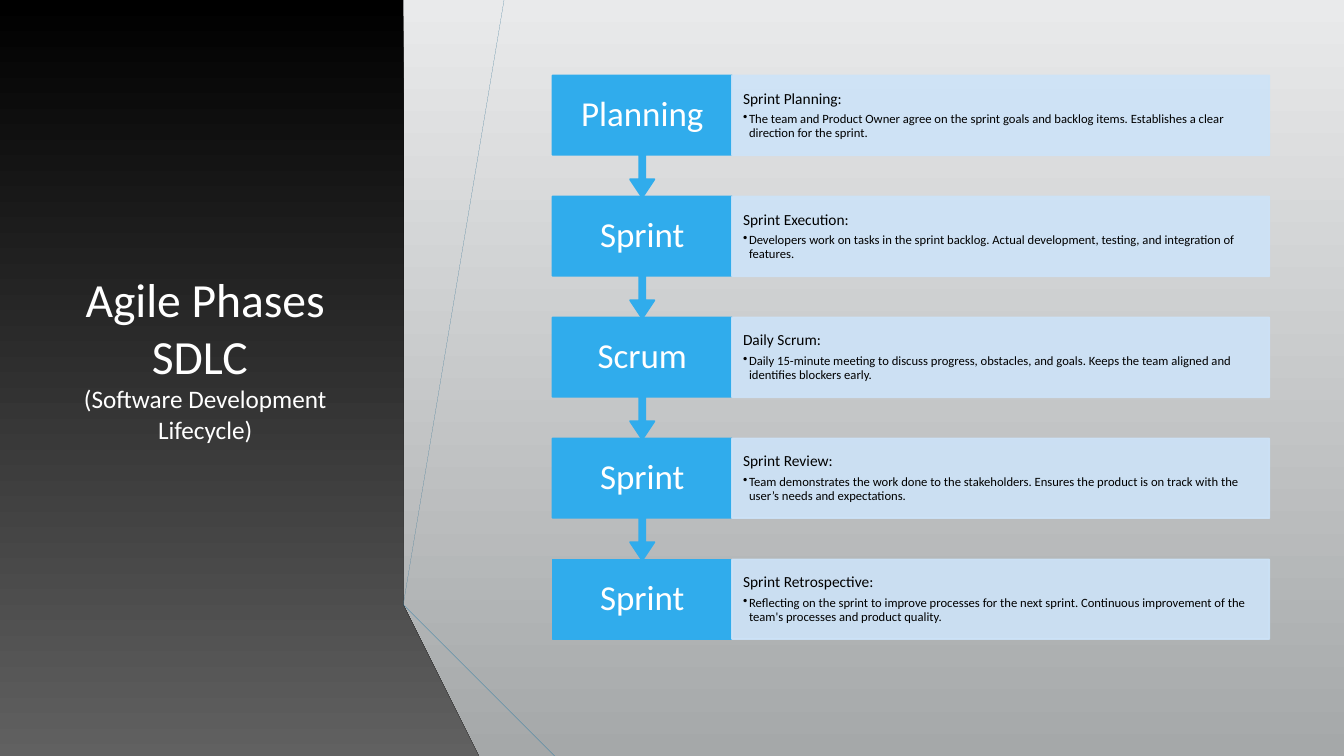
from lxml.etree import SubElement
from pptx import Presentation
from pptx.dml.color import RGBColor
from pptx.enum.shapes import MSO_SHAPE as Shape
from pptx.enum.text import MSO_ANCHOR as Anchor, PP_ALIGN as Align
from pptx.oxml.ns import qn
from pptx.util import Inches, Pt

BLUE = RGBColor(0x30, 0xAC, 0xEC)
DEEP = RGBColor(0x12, 0x87, 0xC3)
NAVY = RGBColor(0x0C, 0x5A, 0x82)
PALE = RGBColor(0xCD, 0xE3, 0xF8)
GRAY = RGBColor(0x59, 0x59, 0x59)
DARK = RGBColor(0x40, 0x40, 0x40)
SHADE = RGBColor(0x26, 0x26, 0x26)
SMOKE = RGBColor(0x67, 0x67, 0x67)
LIGHT = RGBColor(0xE9, 0xEA, 0xEB)
STEEL = RGBColor(0xA5, 0xA8, 0xA9)
WHITE = RGBColor(0xFF, 0xFF, 0xFF)
BLACK = RGBColor(0, 0, 0)

WIDE, HIGH = 13.33, 7.5
TOP, STEP, BOX = 0.75, 1.2, 0.79
LEFT, LABEL, PANEL = 5.48, 1.78, 5.33

EDGE = [(0, 0), (4.49, 0), (3.56, 5.76), (4.82, HIGH), (0, HIGH)]
RIBBON = [
    (BLUE, [(3.96, 5.78), (4.23, 5.83), (5.19, 0), (4.91, 0)]),
    (GRAY, [(4.85, 0), (4.57, 0), (3.63, 5.73), (3.9, 5.77)]),
    (SHADE, [(3.63, 5.73), (4.91, HIGH), (4.97, HIGH)]),
    (NAVY, [(3.96, 5.79), (5.54, HIGH), (5.6, HIGH)]),
    (DEEP, [(3.96, 5.78), (5.6, HIGH), (6.29, HIGH), (4.23, 5.83)]),
    (DARK, [(5.48, HIGH), (3.95, 5.83), (3.9, 5.77), (3.63, 5.73), (4.97, HIGH)]),
]
TITLE = [("Agile Phases", 34), ("SDLC ", 34), ("(Software Development Lifecycle)", 18)]
PHASES = [
    ("Planning", "Sprint Planning:",
     "The team and Product Owner agree on the sprint goals and backlog items. "
     "Establishes a clear direction for the sprint."),
    ("Sprint", "Sprint Execution:",
     "Developers work on tasks in the sprint backlog. "
     "Actual development, testing, and integration of features."),
    ("Scrum", "Daily Scrum:",
     "Daily 15-minute meeting to discuss progress, obstacles, and goals. "
     "Keeps the team aligned and identifies blockers early."),
    ("Sprint", "Sprint Review:",
     "Team demonstrates the work done to the stakeholders. "
     "Ensures the product is on track with the user’s needs and expectations."),
    ("Sprint", "Sprint Retrospective:",
     "Reflecting on the sprint to improve processes for the next sprint. "
     "Continuous improvement of the team's processes and product quality."),
]


def assign(item, values):
    for name, value in values.items():
        setattr(item, name, value)


def blend(fill, first, last):
    """Fill with a gradient that runs from top to bottom."""
    fill.gradient()
    fill.gradient_angle = 270
    for stop, color in zip(fill.gradient_stops, (first, last)):
        stop.color.rgb = color


class Deck:
    font = "Calibri"

    def __init__(self):
        self.file = Presentation()
        assign(self.file, {"slide_width": Inches(WIDE), "slide_height": Inches(HIGH)})
        self.slide = self.file.slides.add_slide(self.file.slide_layouts[6])
        self.shapes = self.slide.shapes

    def outline(self, points):
        pen = self.shapes.build_freeform(*points[0], scale=Inches(1))
        pen.add_line_segments(points[1:], close=True)
        shape = pen.convert_to_shape()
        shape.shadow.inherit = False
        shape.line.fill.background()
        return shape

    def block(self, kind, place, color, alpha=None):
        shape = self.shapes.add_shape(kind, *map(Inches, place))
        shape.shadow.inherit = False
        shape.line.width = Pt(1.25)
        for fill in (shape.fill, shape.line.fill):
            fill.solid()
            fill.fore_color.rgb = color
        if alpha:
            for tint in list(shape.element.spPr.iter(qn("a:srgbClr"))):
                SubElement(tint, qn("a:alpha")).set("val", str(alpha * 1000))
        return shape

    def frame(self, shape, anchor, side=0.1, edge=0.05):
        text = shape.text_frame
        assign(text, {
            "word_wrap": True, "vertical_anchor": anchor,
            "margin_left": Inches(side), "margin_right": Inches(side),
            "margin_top": Inches(edge), "margin_bottom": Inches(edge),
        })
        return text

    def letter(self, para, lines, color, align=Align.LEFT, spacing=0.9, after=0):
        """Put (words, size) lines into one paragraph."""
        assign(para, {"alignment": align, "line_spacing": spacing, "space_after": Pt(after)})
        for index, (words, size) in enumerate(lines):
            if index:
                para.add_line_break()
            run = para.add_run()
            run.text = words
            assign(run.font, {"name": self.font, "size": Pt(size)})
            run.font.color.rgb = color

    def bullet(self, para):
        para.level = 1
        props = para._p.get_or_add_pPr()
        props.set("marL", str(Inches(0.06)))
        props.set("indent", str(Inches(-0.06)))
        SubElement(props, qn("a:buChar")).set("char", "•")

    def title(self, place, lines):
        box = self.shapes.add_textbox(*map(Inches, place))
        text = self.frame(box, Anchor.MIDDLE)
        self.letter(text.paragraphs[0], lines, WHITE, Align.CENTER, 1.0)

    def phase(self, top, label, head, body, last):
        """Draw one step; all but the last point down to the next."""
        kind = Shape.RECTANGLE if last else Shape.DOWN_ARROW_CALLOUT
        box = self.block(kind, (LEFT, top, LABEL, BOX if last else 1.21), BLUE)
        if not last:
            for index, value in enumerate((0.05, 0.1, 0.15, 0.65)):
                box.adjustments[index] = value
        text = self.frame(box, Anchor.MIDDLE, 0.13, 0.19)
        self.letter(text.paragraphs[0], [(label, 25)], WHITE, Align.CENTER)

        panel = self.block(Shape.RECTANGLE, (LEFT + LABEL, top, PANEL, BOX), PALE, 90)
        text = self.frame(panel, Anchor.TOP, 0.11, 0.15)
        self.letter(text.paragraphs[0], [(head, 11)], BLACK, after=4)
        para = text.add_paragraph()
        self.bullet(para)
        self.letter(para, [(body, 9)], BLACK)


def main():
    deck = Deck()
    blend(deck.slide.background.fill, LIGHT, STEEL)
    blend(deck.outline(EDGE).fill, BLACK, SMOKE)
    deck.title((0.59, 0.75, 2.89, 5.58), TITLE)
    for color, points in RIBBON:
        fill = deck.outline(points).fill
        fill.solid()
        fill.fore_color.rgb = color
    end = len(PHASES) - 1
    for index in range(end, -1, -1):
        deck.phase(TOP + STEP * index, *PHASES[index], last=index == end)
    deck.file.save("out.pptx")


if __name__ == "__main__":
    main()
